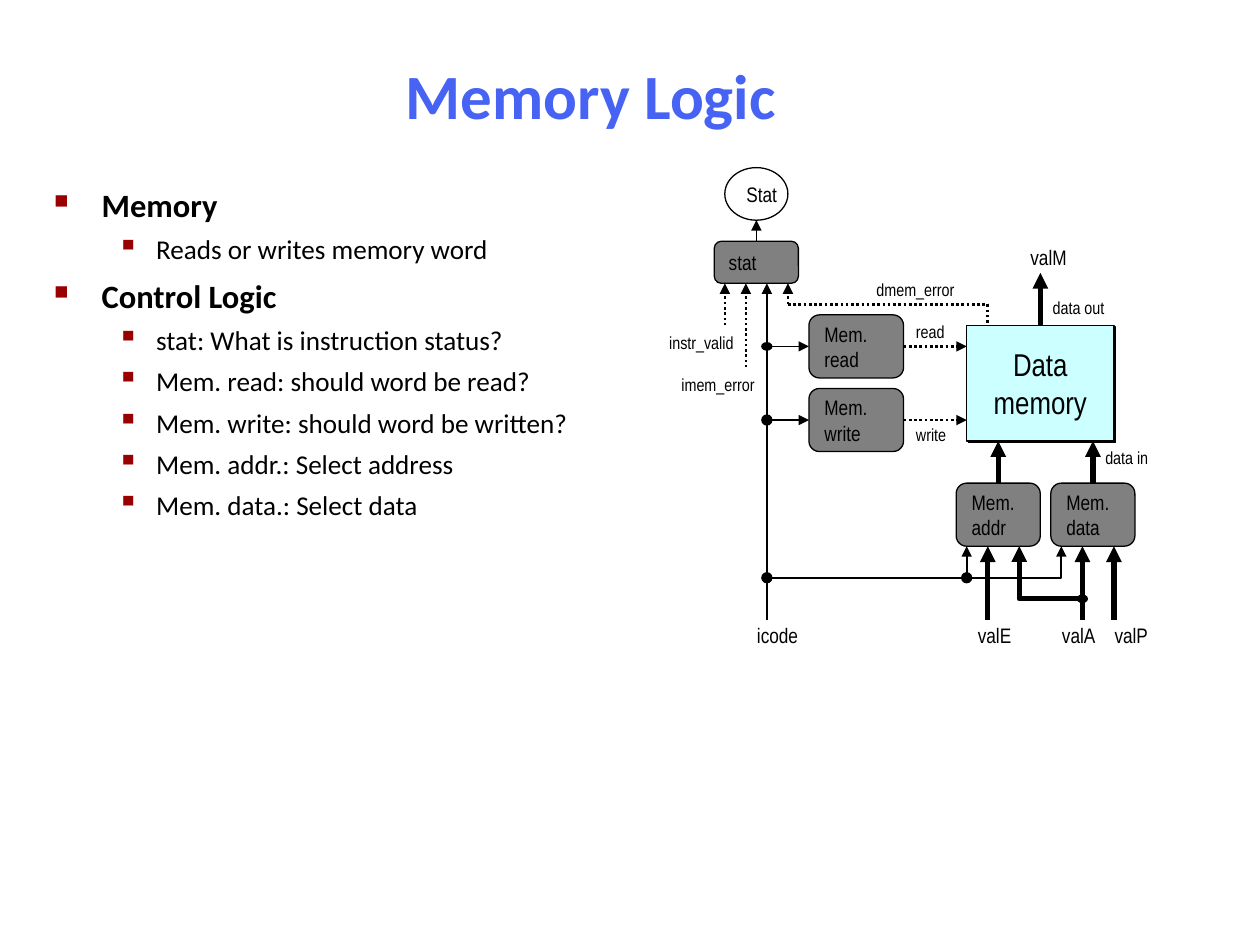
from lxml.etree import SubElement as Sub
from pptx import Presentation
from pptx.dml.color import RGBColor as Rgb
from pptx.enum.dml import MSO_LINE as Dash
from pptx.enum.shapes import MSO_CONNECTOR as Link, MSO_SHAPE as Form
from pptx.enum.text import MSO_ANCHOR as Anchor, PP_ALIGN as Align
from pptx.oxml.ns import qn
from pptx.util import Cm, Pt

HUES = {"title": "4763F3", "ink": "000000", "mark": "990000",
        "gray": "808080", "cyan": "CCFFFF", "white": "FFFFFF"}
LEFT, TOP, STEP = 14.4, 3.38, 0.212


class Deck:
    """Holds the style and the current slide, and draws each kind of element on it."""

    def __init__(self):
        self.show = Presentation()
        self.show.slide_width, self.show.slide_height = Cm(25.4), Cm(19.05)
        self.slide = self.show.slides.add_slide(self.show.slide_layouts[5])
        self.shapes = self.slide.shapes

    def hue(self, name):
        return Rgb.from_string(HUES[name])

    def spot(self, x, y):
        return Cm(LEFT + x * STEP), Cm(TOP + y * STEP)

    def size(self, wide, high):
        return Cm(wide * STEP), Cm(high * STEP)

    def run(self, para, text, size, face="Arial Narrow", hue="ink", bold=False):
        run = para.add_run()
        run.text = text
        font = run.font
        font.size, font.name, font.bold = Pt(size), face, bold
        font.color.rgb = self.hue(hue)

    def title(self, text):
        box = self.shapes.title
        box.left, box.top, box.width, box.height = Cm(1.37), Cm(0.84), Cm(21.08), Cm(2.11)
        box.text_frame.vertical_anchor = Anchor.MIDDLE
        para = box.text_frame.paragraphs[0]
        para.alignment = Align.CENTER
        self.run(para, text, 36, "Calibri", "title", True)

    def bullets(self, items):
        box = self.shapes.add_textbox(Cm(0.84), Cm(3.6), Cm(11.91), Cm(6.99))
        frame = box.text_frame
        frame.word_wrap = True
        for spot, (level, text) in enumerate(items):
            para = frame.add_paragraph() if spot else frame.paragraphs[0]
            edge, hang, sign, part, size, gap = (
                (2.06, 0.79, "▪", 110, 15.5, 5) if level else (0.96, 0.96, "■", 60, 18.6, 6))
            para.level = level
            props = para._p.get_or_add_pPr()
            props.set("marL", str(Cm(edge)))
            props.set("indent", str(-Cm(hang)))
            Sub(Sub(props, qn("a:buClr")), qn("a:srgbClr"), val=HUES["mark"])
            Sub(props, qn("a:buSzPct"), val=str(part * 1000))
            Sub(props, qn("a:buChar"), char=sign)
            if spot:
                para.space_before = Pt(gap)
            self.run(para, text, size, "Calibri", bold=not level)

    def node(self, form, x, y, wide, high, lines=(), fill=None, size=12, align=Align.LEFT):
        shape = self.shapes.add_shape(form, *self.spot(x, y), *self.size(wide, high))
        shape.shadow.inherit = False
        if fill:
            shape.fill.solid()
            shape.fill.fore_color.rgb = self.hue(fill)
            shape.line.color.rgb = self.hue("ink")
            shape.line.width = Pt(0.75)
        else:
            shape.fill.background()
            shape.line.fill.background()
        frame = shape.text_frame
        frame.word_wrap, frame.vertical_anchor = False, Anchor.MIDDLE
        for spot, text in enumerate(lines):
            para = frame.add_paragraph() if spot else frame.paragraphs[0]
            para.alignment = align
            self.run(para, text, size)
        return shape

    def store(self, x, y, wide, high, lines):
        shape = self.node(Form.RECTANGLE, x, y, wide, high, lines, "cyan", 18, Align.CENTER)
        glow = shape._element.spPr.find(qn("a:effectLst"))
        cast = Sub(glow, qn("a:outerShdw"), dist=str(Pt(1.4)), dir="2700000",
                   algn="tl", rotWithShape="0")
        Sub(Sub(cast, qn("a:srgbClr"), val=HUES["ink"]), qn("a:alpha"), val="100000")

    def dot(self, x, y, high=0.95):
        self.node(Form.OVAL, x - 0.48, y - high / 2, 0.95, high, fill="ink")

    def label(self, text, x, y, wide, align=Align.LEFT):
        box = self.shapes.add_textbox(*self.spot(x, y), *self.size(wide, 3.2))
        box.text_frame.word_wrap = True
        para = box.text_frame.paragraphs[0]
        para.alignment = align
        self.run(para, text, 10)

    def wire(self, *ends, width=1, dots=False, tip=True):
        spots = [self.spot(*end) for end in ends]
        if len(spots) == 2:
            line = self.shapes.add_connector(Link.STRAIGHT, *spots[0], *spots[1])
            Sub(line._element.spPr, qn("a:effectLst"))
        else:
            path = self.shapes.build_freeform(*spots[0])
            path.add_line_segments(spots[1:], close=False)
            line = path.convert_to_shape()
            line.shadow.inherit = False
            line.fill.background()
        line.line.color.rgb = self.hue("ink")
        line.line.width = Pt(width)
        if dots:
            line.line.dash_style = Dash.ROUND_DOT
        if tip:
            Sub(line._element.spPr.find(qn("a:ln")), qn("a:tailEnd"), type="triangle")


def main():
    deck = Deck()
    deck.title("Memory Logic")
    deck.bullets([
        (0, "Memory"), (1, "Reads or writes memory word"),
        (0, "Control Logic"), (1, "stat: What is instruction status?"),
        (1, "Mem. read: should word be read?"), (1, "Mem. write: should word be written?"),
        (1, "Mem. addr.: Select address"), (1, "Mem. data.: Select data")])

    deck.store(24, 15, 14, 11, ["Data", "memory"])
    for x, y, wide, high, lines in [
            (9, 14, 9, 6, ["Mem.", "read"]), (9, 21, 9, 6, ["Mem.", "write"]),
            (23, 30, 8, 6, ["Mem.", "addr"]), (32, 30, 8, 6, ["Mem.", "data"]),
            (0, 7, 8, 4, ["stat"])]:
        deck.node(Form.ROUNDED_RECTANGLE, x, y, wide, high, lines, "gray")
    deck.node(Form.OVAL, 1, 0, 6, 5, ["Stat"], "white")
    for text, x, y in [("valE", 23, 42), ("valM", 28, 6), ("valA", 31, 42),
                       ("valP", 36, 42), ("icode", 2, 42)]:
        deck.node(Form.OVAL, x, y, 6, 5, [text])

    for x, low, high in [(35, 43, 36), (26, 43, 36), (38, 43, 36),
                         (27, 30, 26), (36, 30, 26), (31, 15, 10)]:
        deck.wire((x, low), (x, high), width=3)
    deck.wire((35, 41), (29, 41), (29, 36), width=3)
    for ends in [((5, 39), (33, 39), (33, 36)), ((5, 43), (5, 17), (9, 17)),
                 ((5, 24), (9, 24)), ((24, 39), (24, 36)),
                 ((5, 17), (5, 11)), ((4, 7), (4, 5))]:
        deck.wire(*ends)
    for ends in [((18, 17), (24, 17)), ((18, 24), (24, 24)), ((3, 19), (3, 11)),
                 ((7, 13), (7, 11)), ((1, 15), (1, 11))]:
        deck.wire(*ends, width=1.5, dots=True)
    for ends in [((7, 13), (26, 13)), ((26, 13), (26, 15))]:
        deck.wire(*ends, width=1.5, dots=True, tip=False)

    for x, y in [(5, 24), (5, 39), (24, 39)]:
        deck.dot(x, y)
    for x, y in [(5, 17), (35, 41)]:
        deck.dot(x, y, 0.7)

    for text, x, y, wide in [("read", 18, 14, 8), ("write", 18, 23.75, 7),
                             ("data out", 31, 11.75, 10), ("data in", 36, 26, 10)]:
        deck.label(text, x, y, wide)
    for text, x, y, wide in [("dmem_error", 8, 10, 16), ("instr_valid", -7, 15, 10),
                             ("imem_error", -6, 19, 11)]:
        deck.label(text, x, y, wide, Align.RIGHT)
    deck.show.save("out.pptx")


if __name__ == "__main__":
    main()
